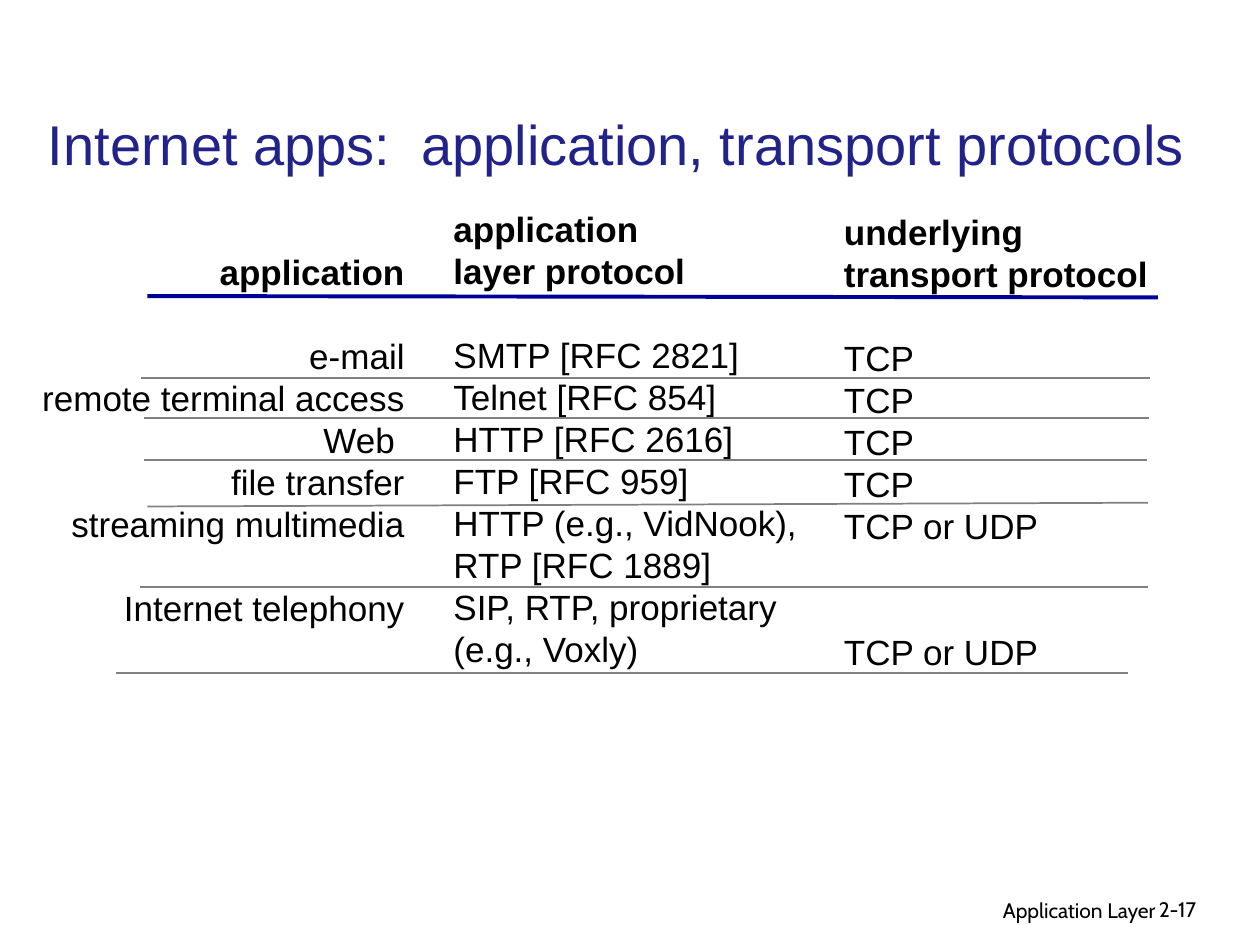
from lxml.etree import SubElement
from pptx import Presentation
from pptx.dml.color import RGBColor
from pptx.enum.shapes import MSO_CONNECTOR
from pptx.enum.text import MSO_ANCHOR, PP_ALIGN
from pptx.oxml.ns import qn
from pptx.util import Inches, Pt

WIDTH, HEIGHT = Inches(10), Inches(7.5)
LINE_PT = 24
BLACK, NAVY, RULE_BLUE, GREY = "000000", "22228B", "000099", "808080"

COLUMNS = [
    ((1.6, 25.87, 31.5, 45.87), PP_ALIGN.RIGHT, 1,
     [(0, "application"), (1, "e-mail"), (0, "remote terminal access"),
      (0, "Web "), (0, "file transfer"), (0, "streaming multimedia"),
      (1, "Internet telephony")]),
    ((35, 21.33, 30.9, 50.27), PP_ALIGN.LEFT, 2,
     [(0, "application"), (0, "layer protocol"), (1, "SMTP [RFC 2821]"),
      (0, "Telnet [RFC 854]"), (0, "HTTP [RFC 2616]"), (0, "FTP [RFC 959]"),
      (0, "HTTP (e.g., VidNook), \vRTP [RFC 1889]"),
      (0, "SIP, RTP, proprietary"), (0, "(e.g., Voxly)")]),
    ((66, 21.6, 28.7, 50.27), PP_ALIGN.LEFT, 2,
     [(0, "underlying"), (0, "transport protocol"), (1, "TCP"), (0, "TCP"),
      (0, "TCP"), (0, "TCP"), (0, "TCP or UDP"), (2, "TCP or UDP")]),
]

ROW_RULES = [
    (11.2, 40, 91.3, 40),
    (11.4, 44.27, 91.2, 44.27),
    (11.4, 48.67, 91, 48.67),
    (11.7, 53.6, 91.1, 53.2),
    (11.1, 62.13, 91.1, 62.13),
    (9.2, 71.2, 89.5, 71.2),
]


def color(hex_text):
    return RGBColor.from_string(hex_text)


def shares(x1, y1, x2, y2):
    return [int(size * percent / 100) for size, percent
            in zip((WIDTH, HEIGHT, WIDTH, HEIGHT), (x1, y1, x2, y2))]


def style(p, size, name, hex_text, align, bold=False):
    p.alignment = align
    for r in p.runs:
        r.font.size = Pt(size)
        r.font.name = name
        r.font.bold = bold
        r.font.color.rgb = color(hex_text)


def add_title(s, box, text):
    sp = s.shapes.title
    sp.left, sp.top, sp.width, sp.height = shares(*box)
    tf = sp.text_frame
    tf.text = text
    tf.word_wrap = False
    tf.vertical_anchor = MSO_ANCHOR.MIDDLE
    style(tf.paragraphs[0], 32, "Arial", NAVY, PP_ALIGN.CENTER)


def add_text(s, box, lines):
    tf = s.shapes.add_textbox(*shares(*box)).text_frame
    tf.word_wrap = True
    tf.text = "\n".join(lines)
    return tf.paragraphs


def add_column(s, box, align, header_lines, rows):
    paragraphs = add_text(s, box, [text for _, text in rows])
    for i, (p, (gap, _)) in enumerate(zip(paragraphs, rows)):
        p.line_spacing = Pt(LINE_PT)
        if gap:
            p.space_before = Pt(gap * LINE_PT)
        style(p, 20, "Arial", BLACK, align, i < header_lines)


def add_footer(s, box, text, align):
    style(add_text(s, box, [text])[0], 12, "Cabin", BLACK, align)


def add_rule(s, ends, hex_text, width):
    line = s.shapes.add_connector(MSO_CONNECTOR.STRAIGHT, *shares(*ends))
    line.line.color.rgb = color(hex_text)
    line.line.width = Pt(width)
    SubElement(line._element.spPr, qn("a:effectLst"))


def main():
    prs = Presentation()
    prs.slide_width, prs.slide_height = WIDTH, HEIGHT
    s = prs.slides.add_slide(prs.slide_layouts[5])
    add_footer(s, (61, 94.27, 31.7, 4.13), "Application Layer", PP_ALIGN.RIGHT)
    add_footer(s, (91, 94.27, 7.4, 4), "2-17", PP_ALIGN.LEFT)
    for column in COLUMNS:
        add_column(s, *column)
    add_rule(s, (11.7, 31.33, 91.9, 31.47), RULE_BLUE, 2.25)
    for ends in ROW_RULES:
        add_rule(s, ends, GREY, 1)
    add_title(s, (2.8, 10.93, 92.3, 8.53),
              "Internet apps:  application, transport protocols")
    prs.save("out.pptx")


if __name__ == "__main__":
    main()
